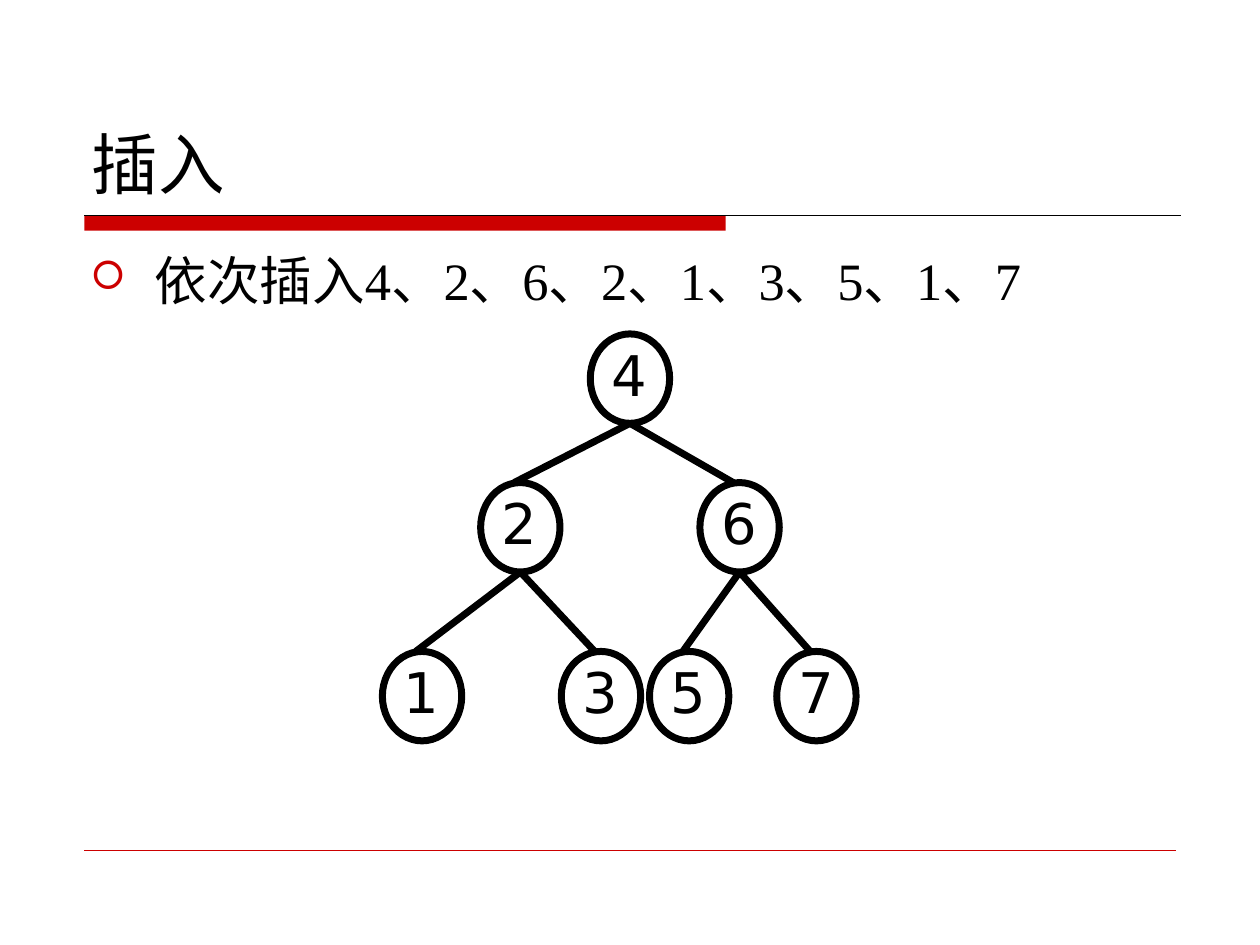
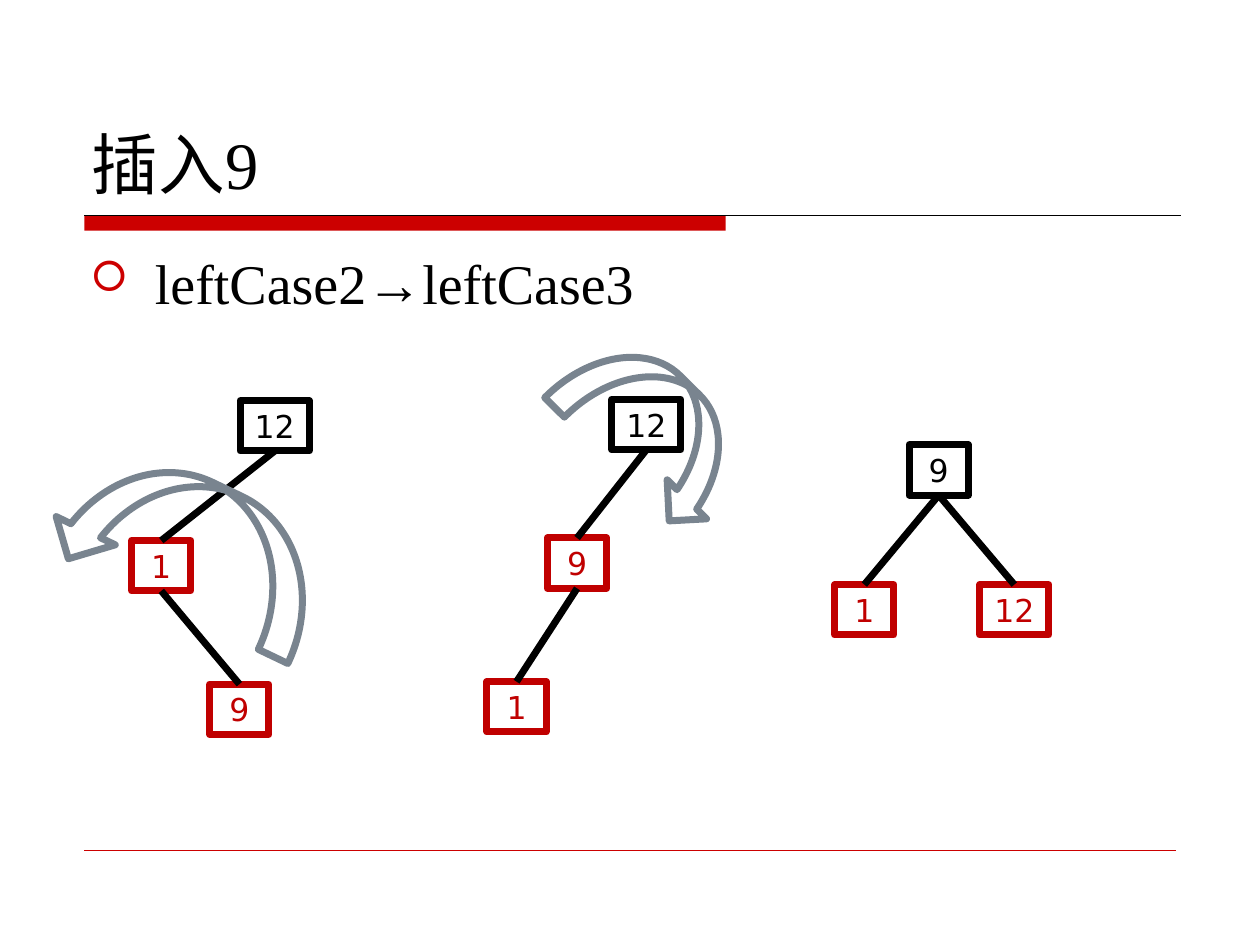
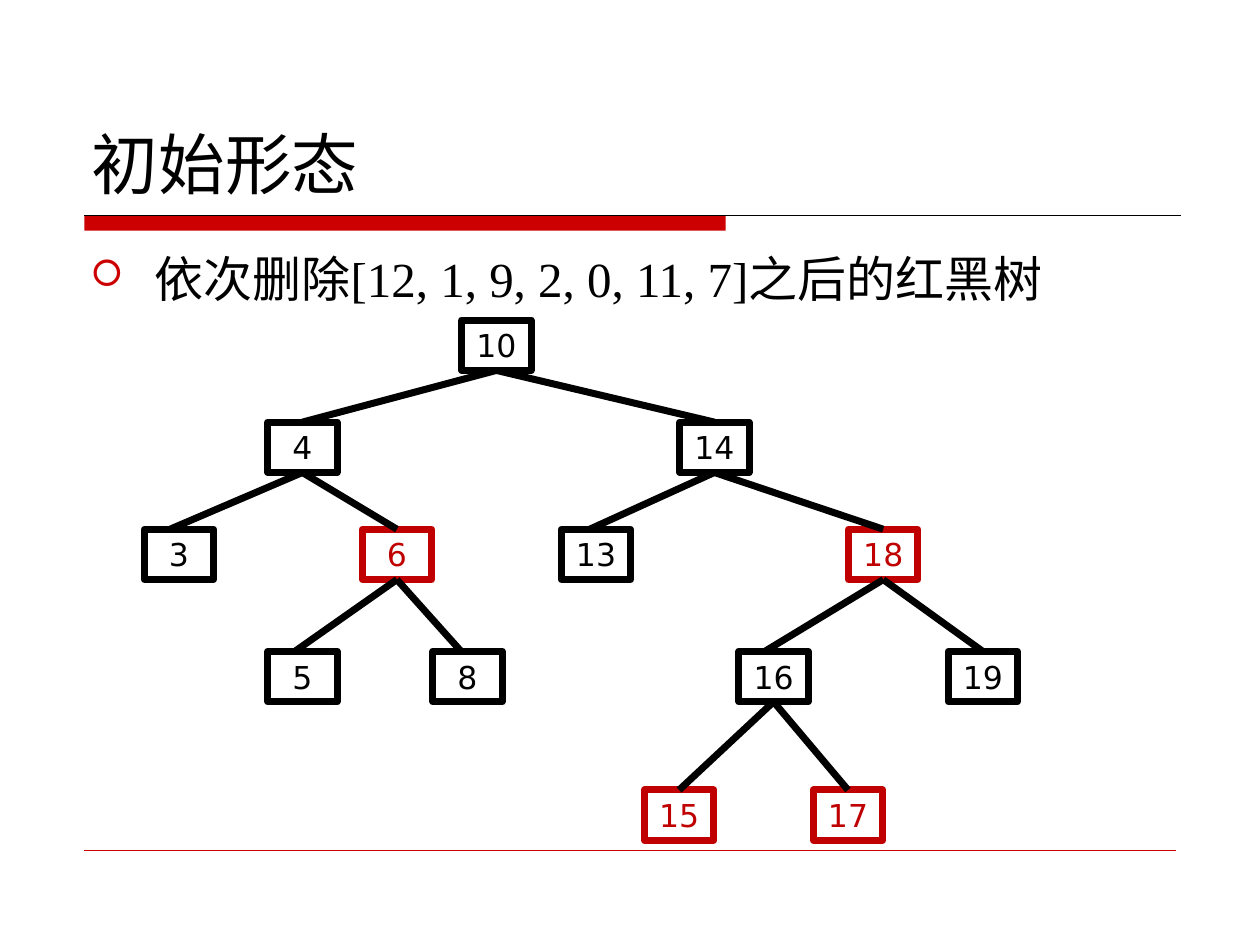
import dataclasses
import lxml.etree
import pptx
import pptx.dml.color
import pptx.enum.shapes
import pptx.enum.text
import pptx.oxml.ns
import pptx.util

Inches = pptx.util.Inches
SHAPE = pptx.enum.shapes.MSO_SHAPE
ALIGN = pptx.enum.text.PP_ALIGN
ANCHOR = pptx.enum.text.MSO_ANCHOR


@dataclasses.dataclass(frozen=True)
class Theme:
    accent: str = "CC0000"
    black: str = "000000"
    red: str = "C00000"
    arrow: str = "79848F"
    text_font: str = "Times New Roman"
    node_font: str = "DejaVu Sans"
    title_size: int = 38
    circle_size: int = 32
    box_size: int = 18
    stroke: float = 4


THEME = Theme()
BLACK, RED = THEME.black, THEME.red

# Frames shared by all slides: left, top, width, height
TITLE_FRAME = (0.63, 0.33, 8.75, 1.33)
BODY_FRAME = (0.62, 1.92, 8.75, 4.67)
BAND_FRAME = (0.67, 1.71, 5.09, 0.12)
BULLET_INDENT = 0.51

# Node sizes
CIRCLE = (0.63, 0.71)
BOX_HEIGHT = 0.4
BOX_WIDTHS = {1: 0.47, 2: 0.55}

# Content. A tree has the tops of its levels and its nodes:
# label, level, centre x, parent, colour, shift of the edge's lower end
SLIDES = [
    {
        "title": "插入",
        "body": "依次插入4、2、6、2、1、3、5、1、7",
        "body_size": 30,
        "trees": [
            {"kind": "circle", "levels": (2.65, 3.83, 5.17), "nodes": [
                ("4", 0, 5.0, None, BLACK, 0),
                ("2", 1, 4.13, "4", BLACK, -0.05),
                ("6", 1, 5.87, "4", BLACK, -0.05),
                ("1", 2, 3.35, "2", BLACK, -0.05),
                ("3", 2, 4.77, "2", BLACK, -0.05),
                ("5", 2, 5.47, "6", BLACK, -0.05),
                ("7", 2, 6.48, "6", BLACK, -0.05),
            ]},
        ],
        "arrows": [],
    },
    {
        "title": "插入9",
        "body": "leftCase2→leftCase3",
        "body_size": 32,
        "trees": [
            {"kind": "box", "levels": (3.18, 4.29, 5.43), "nodes": [
                ("12", 0, 2.18, None, BLACK, 0),
                ("1", 1, 1.28, "12", RED, 0),
                ("9", 2, 1.9, "1", RED, 0),
            ]},
            {"kind": "box", "levels": (3.17, 4.27, 5.41), "nodes": [
                ("12", 0, 5.13, None, BLACK, 0),
                ("9", 1, 4.58, "12", RED, 0),
                ("1", 2, 4.1, "9", RED, 0),
            ]},
            {"kind": "box", "levels": (3.53, 4.64), "nodes": [
                ("9", 0, 7.45, None, BLACK, 0),
                ("1", 1, 6.86, "9", RED, 0),
                ("12", 1, 8.05, "9", RED, 0),
            ]},
        ],
        "arrows": [
            (SHAPE.CURVED_RIGHT_ARROW, (1, 3.23, 1.04, 2.19), 115.5),
            (SHAPE.CURVED_DOWN_ARROW, (4.4, 2.97, 1.61, 0.88), 44.7),
        ],
    },
    {
        "title": "初始形态",
        "body": "依次删除[12, 1, 9, 2, 0, 11, 7]之后的红黑树",
        "body_size": 28,
        "trees": [
            {"kind": "wide box", "levels": (2.54, 3.35, 4.2, 5.17, 6.27), "nodes": [
                ("10", 0, 3.94, None, BLACK, 0),
                ("4", 1, 2.4, "10", BLACK, 0),
                ("14", 1, 5.67, "10", BLACK, 0),
                ("3", 2, 1.42, "4", BLACK, -0.07),
                ("6", 2, 3.15, "4", RED, 0),
                ("13", 2, 4.73, "14", BLACK, -0.05),
                ("18", 2, 7.01, "14", RED, 0),
                ("5", 3, 2.4, "6", BLACK, -0.06),
                ("8", 3, 3.71, "6", BLACK, -0.05),
                ("16", 3, 6.14, "18", BLACK, -0.07),
                ("19", 3, 7.8, "18", BLACK, 0),
                ("15", 4, 5.39, "16", RED, 0),
                ("17", 4, 6.73, "16", RED, 0),
            ]},
        ],
        "arrows": [],
    },
]


# Helpers
def rgb(colour):
    return pptx.dml.color.RGBColor.from_string(colour)


def inches(frame):
    return [Inches(length) for length in frame]


def place(shape, frame):
    shape.left, shape.top, shape.width, shape.height = inches(frame)


def write(para, text, font_name, size, colour):
    span = para.add_run()
    span.text = text
    span.font.name = font_name
    span.font.size = pptx.util.Pt(size)
    span.font.color.rgb = rgb(colour)


def add_outline(page, kind, frame, colour):
    shape = page.shapes.add_shape(kind, *inches(frame))
    shape.shadow.inherit = False
    shape.fill.background()
    shape.line.color.rgb = rgb(colour)
    shape.line.width = pptx.util.Pt(THEME.stroke)
    return shape


def add_line(page, start, end, colour, width):
    line = page.shapes.add_connector(
        pptx.enum.shapes.MSO_CONNECTOR.STRAIGHT, *inches(start + end))
    line.line.color.rgb = rgb(colour)
    line.line.width = pptx.util.Pt(width)
    lxml.etree.SubElement(line._element.spPr, pptx.oxml.ns.qn("a:effectLst"))
    return line


def add_bullet(para):
    properties = para._p.get_or_add_pPr()
    properties.set("marL", str(Inches(BULLET_INDENT)))
    properties.set("indent", str(-Inches(BULLET_INDENT)))
    colour = lxml.etree.SubElement(properties, pptx.oxml.ns.qn("a:buClr"))
    lxml.etree.SubElement(colour, pptx.oxml.ns.qn("a:srgbClr"), val=THEME.accent)
    for tag, name, value in (("a:buSzPct", "val", "75000"),
                             ("a:buFont", "typeface", "Wingdings"),
                             ("a:buChar", "char", "□")):
        lxml.etree.SubElement(properties, pptx.oxml.ns.qn(tag)).set(name, value)


# Band and footer rule, moved to the master so every slide shows them
def decorate_master(deck, page):
    left, top = BAND_FRAME[:2]
    band = page.shapes.add_shape(SHAPE.RECTANGLE, *inches(BAND_FRAME))
    band.shadow.inherit = False
    band.fill.solid()
    band.fill.fore_color.rgb = rgb(THEME.accent)
    band.line.fill.background()
    title_rule = add_line(page, (left, top), (9.37, top), THEME.black, 0.75)
    footer_rule = add_line(page, (left, 6.75), (9.33, 6.75), THEME.accent, 0.25)
    for shape in (band, title_rule, footer_rule):
        deck.slide_master.shapes._spTree.append(shape._element)


def fill_placeholders(page, content):
    title, body = page.placeholders
    for holder, frame, anchor in ((title, TITLE_FRAME, ANCHOR.BOTTOM),
                                  (body, BODY_FRAME, ANCHOR.TOP)):
        place(holder, frame)
        holder.text_frame.word_wrap = True
        holder.text_frame.auto_size = pptx.enum.text.MSO_AUTO_SIZE.NONE
        holder.text_frame.vertical_anchor = anchor
        para = holder.text_frame.paragraphs[0]
        para.alignment = ALIGN.LEFT
        para.space_before = pptx.util.Pt(0)
    add_bullet(body.text_frame.paragraphs[0])
    write(title.text_frame.paragraphs[0], content["title"],
          THEME.text_font, THEME.title_size, THEME.black)
    write(body.text_frame.paragraphs[0], content["body"],
          THEME.text_font, content["body_size"], THEME.black)


# Tree nodes
def add_circle(page, label, frame, colour):
    add_outline(page, SHAPE.OVAL, frame, colour)
    box = page.shapes.add_textbox(
        *inches((frame[0] + 0.07, frame[1], 0.39, 0.64)))
    box.text_frame.word_wrap = True
    write(box.text_frame.paragraphs[0], label,
          THEME.node_font, THEME.circle_size, colour)


def add_box(page, label, frame, colour):
    box = add_outline(page, SHAPE.RECTANGLE, frame, colour)
    box.text_frame.word_wrap = False
    box.text_frame.vertical_anchor = ANCHOR.MIDDLE
    para = box.text_frame.paragraphs[0]
    para.alignment = ALIGN.CENTER
    write(para, label, THEME.node_font, THEME.box_size, colour)


def node_size(kind, label):
    if kind == "circle":
        return CIRCLE
    digits = 2 if kind == "wide box" else len(label)
    return BOX_WIDTHS[digits], BOX_HEIGHT


def add_tree(page, tree):
    add_node = add_circle if tree["kind"] == "circle" else add_box
    bottoms, edges = {}, []
    for label, level, centre, parent, colour, shift in tree["nodes"]:
        width, height = node_size(tree["kind"], label)
        top = tree["levels"][level]
        add_node(page, label, (centre - width / 2, top, width, height), colour)
        bottoms[label] = (centre, top + height)
        if parent:
            edges.append((bottoms[parent], (centre + shift, top)))
    for start, end in edges:
        add_line(page, start, end, THEME.black, THEME.stroke)


def main():
    deck = pptx.Presentation()
    deck.slide_width, deck.slide_height = Inches(10), Inches(7.5)
    for number, content in enumerate(SLIDES):
        page = deck.slides.add_slide(deck.slide_layouts[1])
        if number == 0:
            decorate_master(deck, page)
        fill_placeholders(page, content)
        for tree in content["trees"]:
            add_tree(page, tree)
        for kind, frame, rotation in content["arrows"]:
            add_outline(page, kind, frame, THEME.arrow).rotation = rotation
    deck.save("out.pptx")


if __name__ == "__main__":
    main()
